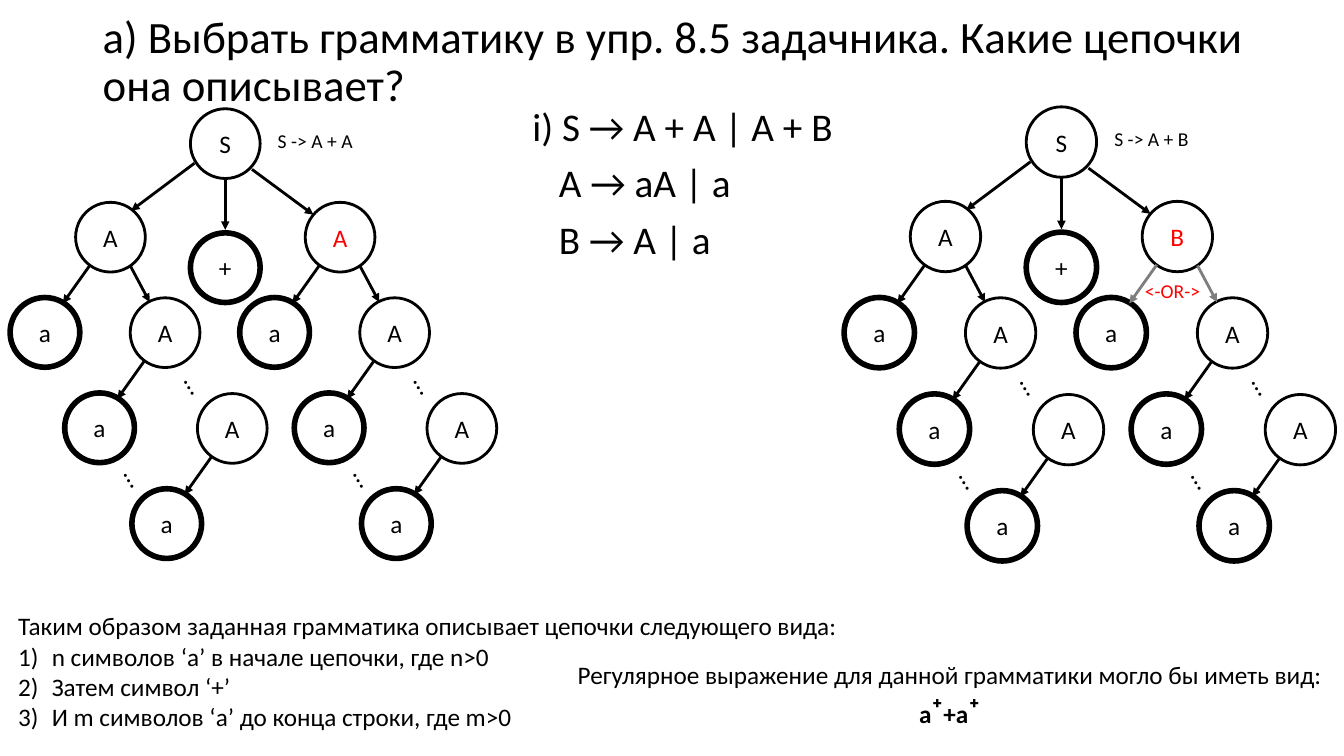
from dataclasses import dataclass

from lxml.etree import SubElement
from pptx import Presentation
from pptx.dml.color import RGBColor
from pptx.enum.shapes import MSO_CONNECTOR, MSO_SHAPE
from pptx.enum.text import MSO_ANCHOR, MSO_AUTO_SIZE, PP_ALIGN
from pptx.oxml.ns import qn
from pptx.util import Pt

TITLE = "а) Выбрать грамматику в упр. 8.5 задачника. Какие цепочки она описывает?"
GRAMMAR = [("i) S → A + A | A + B", 18), ("A → aA | a", 37), ("B → A | a", 37)]
SUMMARY = "Таким образом заданная грамматика описывает цепочки следующего вида:"
PARTS = ["n символов ‘a’ в начале цепочки, где n>0",
         "Затем символ ‘+’",
         "И m символов ‘a’ до конца строки, где m>0"]
REGEX_INTRO = "Регулярное выражение для данной грамматики могло бы иметь вид:"
REGEX = [("a", "body"), ("⁺", "power"), ("+a", "body"), ("⁺", "power")]

# Each tree: centre of S, scale, rule, right branch, colour of its edges, choice
TREES = [((160.9, 102.6), 1, "S -> A + A", "A", "ink", None),
         ((758.2, 101.5), 1.01, "S -> A + B", "B", "muted", "<-OR->")]

# Tree geometry, as offsets from the parent node
BRANCH, PLUS = (82, 66.8), (0, 88.6)
CHAIN = [(0, 0), (39, 68.2), (87, 136.6)]
LEAF = (-46.8, 68)
LEAF_EDGE = ((-14.6, 20), (-34, 47.3))
CHAIN_EDGE = ((14.2, 20.5), (28, 46.4))
ROOT_EDGES = [((-22, 14), (-67.3, 47.9)),
              ((0, 24.1), (0, 61.6)),
              ((19.1, 18.4), (63, 50.8))]
DOTS = [(64, 101.5), (20.9, 167.8)]
DOT_SIZE, DOT_TURN = (16.6, 20.9), 59.2
NODE = 49.8
RULE_AT, CHOICE_AT = (33.8, -14.3), (-26.6, 26.6)


@dataclass(frozen=True)
class Theme:
    """Font, colours, type sizes and line widths."""
    font: str = "Calibri"
    ink: str = "000000"
    paper: str = "FFFFFF"
    accent: str = "FF0000"
    muted: str = "7E7E7E"
    title: int = 32
    grammar: int = 28
    power: int = 24
    body: int = 18
    note: int = 14
    thin: int = 2
    thick: int = 4
    inset: float = 3.6


THEME = Theme()


def color(name):
    """Return the theme colour with this name."""
    return RGBColor.from_string(getattr(THEME, name))


def style(font, size="body", ink="ink"):
    """Set typeface, size and colour."""
    font.name = THEME.font
    font.size = Pt(getattr(THEME, size))
    font.color.rgb = color(ink)


def add_text(shapes, box, lines, size="body", ink="ink", anchor=MSO_ANCHOR.TOP):
    """Add a text box with one paragraph per line and return it."""
    sp = shapes.add_textbox(*map(Pt, box))
    tf = sp.text_frame
    tf.word_wrap = True
    tf.vertical_anchor = anchor
    tf.margin_left = tf.margin_right = Pt(THEME.inset)
    tf.margin_top = tf.margin_bottom = Pt(THEME.inset)
    tf.text = "\n".join(lines)
    for p in tf.paragraphs:
        style(p.font, size, ink)
    return sp


def fit_to_text(sp):
    """Let a text box grow with its unwrapped lines."""
    sp.text_frame.word_wrap = False
    sp.text_frame.auto_size = MSO_AUTO_SIZE.SHAPE_TO_FIT_TEXT


class Tree:
    """A derivation tree drawn in one group."""

    def __init__(self, slide, scale):
        """Open the group."""
        self.shapes = slide.shapes.add_group_shape().shapes
        self.scale = scale

    def place(self, origin, offset):
        """Return the point at a scaled offset from the origin."""
        return tuple(o + d * self.scale for o, d in zip(origin, offset))

    def node(self, centre, label, ink="ink"):
        """Add a circle; terminals get a thick outline."""
        d = NODE * self.scale
        sp = self.shapes.add_shape(
            MSO_SHAPE.OVAL, *(Pt(c - d / 2) for c in centre), Pt(d), Pt(d))
        sp.shadow.inherit = False
        sp.fill.solid()
        sp.fill.fore_color.rgb = color("paper")
        sp.line.color.rgb = color("ink")
        sp.line.width = Pt(THEME.thick if label in "a+" else THEME.thin)
        tf = sp.text_frame
        tf.margin_left = tf.margin_right = tf.margin_top = tf.margin_bottom = 0
        tf.vertical_anchor = MSO_ANCHOR.MIDDLE
        p = tf.paragraphs[0]
        p.text = label
        p.alignment = PP_ALIGN.CENTER
        style(p.font, ink=ink)

    def arrow(self, origin, edge, ink="ink"):
        """Add an arrow between two offsets from the origin."""
        start, end = (self.place(origin, point) for point in edge)
        c = self.shapes.add_connector(MSO_CONNECTOR.STRAIGHT, *map(Pt, start + end))
        c.line.color.rgb = color(ink)
        c.line.width = Pt(THEME.thin)
        props = c.element.spPr
        SubElement(props.get_or_add_ln(), qn("a:tailEnd"), type="triangle")
        SubElement(props, qn("a:effectLst"))

    def branch(self, top, label, label_ink="ink", edge_ink="ink"):
        """Add a chain of nonterminals, each with its leaf."""
        for offset in DOTS:
            x, y = self.place(top, offset)
            w, h = DOT_SIZE
            sp = add_text(self.shapes, (x - w / 2, y - h / 2, w, h), ["…"])
            sp.rotation = DOT_TURN
        for i, offset in enumerate(CHAIN):
            centre = self.place(top, offset)
            first = i == 0
            self.node(centre, label if first else "A", label_ink if first else "ink")
            self.node(self.place(centre, LEAF), "a")
            self.arrow(centre, LEAF_EDGE, edge_ink if first else "ink")
        self.arrow(top, CHAIN_EDGE, edge_ink)


def add_tree(slide, root, scale, rule, right, edge_ink, choice):
    """Draw the derivation for one rule of S."""
    tree = Tree(slide, scale)
    dx, dy = BRANCH
    right_top = tree.place(root, (dx, dy))
    tree.branch(tree.place(root, (-dx, dy)), "A")
    tree.branch(right_top, right, "accent", edge_ink)
    tree.node(root, "S")
    tree.node(tree.place(root, PLUS), "+")
    for edge in ROOT_EDGES:
        tree.arrow(root, edge)
    add_text(tree.shapes, (*tree.place(root, RULE_AT), 62, 21), [rule], "note")
    if choice:
        add_text(tree.shapes, (*tree.place(right_top, CHOICE_AT), 49, 21),
                 [choice], "note", "accent")


prs = Presentation()
prs.slide_width, prs.slide_height = Pt(960), Pt(540)
s = prs.slides.add_slide(prs.slide_layouts[6])

sp = add_text(s.shapes, (358.6, 73.4, 250.6, 120.2),
              [line for line, _ in GRAMMAR], "grammar")
for p, (_, indent) in zip(sp.text_frame.paragraphs, GRAMMAR):
    p.line_spacing = 0.9
    p.space_before = Pt(10)
    p.element.get_or_add_pPr().set("indent", str(Pt(indent))) if hasattr(
        p, "element") else p._p.get_or_add_pPr().set("indent", str(Pt(indent)))

for tree in TREES:
    add_tree(s, *tree)

sp = add_text(s.shapes, (9.4, 432.7, 592.6, 95), [SUMMARY, *PARTS])
fit_to_text(sp)
for p in sp.text_frame.paragraphs[1:]:
    props = p._p.get_or_add_pPr()
    props.set("marL", str(Pt(24)))
    props.set("indent", str(Pt(-24)))
    props.insert_element_before(
        props.makeelement(qn("a:buAutoNum"), {"type": "arabicParenR"}), "a:defRPr")

sp = add_text(s.shapes, (409, 467.3, 546.5, 58.3), [REGEX_INTRO])
fit_to_text(sp)
p = sp.text_frame.add_paragraph()
p.alignment = PP_ALIGN.CENTER
for text, size in REGEX:
    r = p.add_run()
    r.text = text
    r.font.bold = True
    style(r.font, size)

sp = add_text(s.shapes, (69.8, -7.2, 828, 104.4), [TITLE], "title",
              anchor=MSO_ANCHOR.MIDDLE)
sp.text_frame.paragraphs[0].line_spacing = 0.9

prs.save("out.pptx")
